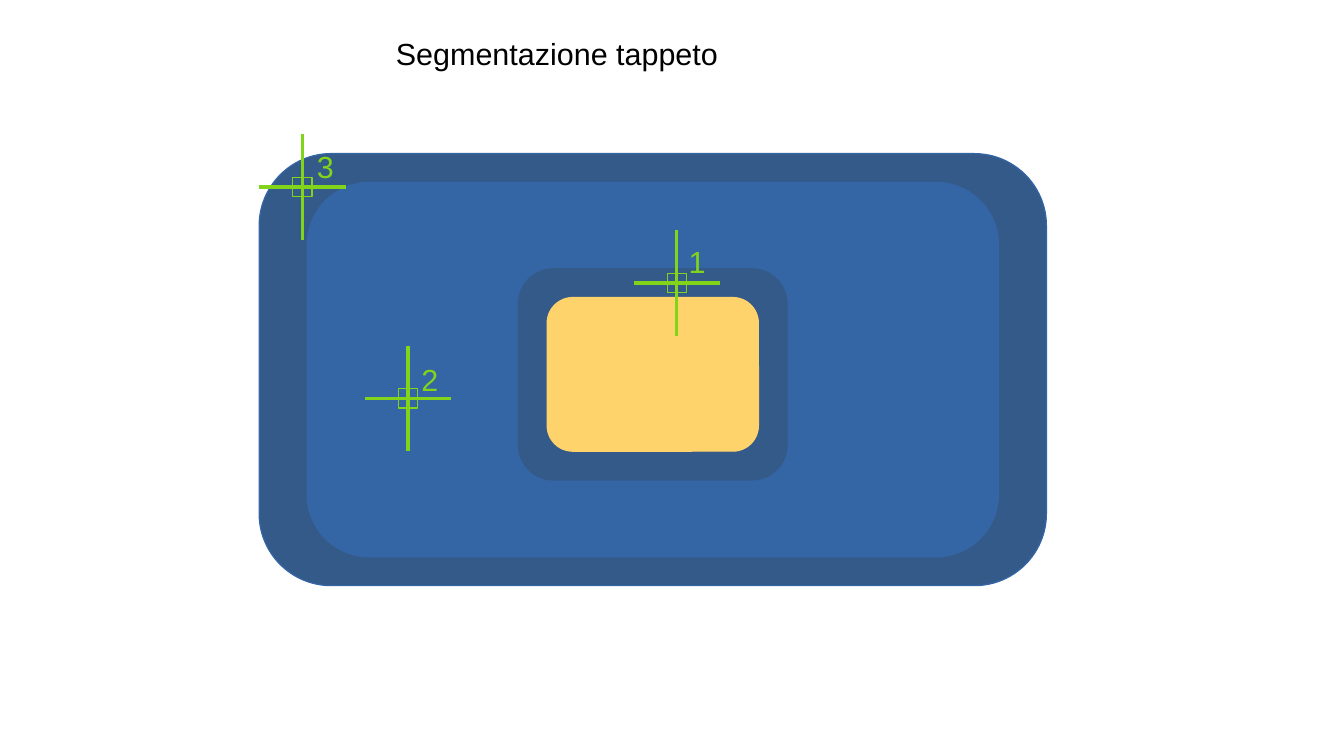
from lxml.etree import SubElement
from pptx import Presentation
from pptx.dml.color import RGBColor
from pptx.enum.shapes import MSO_CONNECTOR, MSO_SHAPE
from pptx.enum.text import MSO_AUTO_SIZE
from pptx.oxml.ns import qn
from pptx.util import Inches, Pt

WIDTH, HEIGHT = 11.02, 6.2
COLUMNS, ROWS = 28, 15.75
COLORS = {
    "border": "345A8A",
    "field": "3465A4",
    "center": "FFD36B",
    "marker": "81D41A",
    "title": "000000",
}


class CarpetSlide:
    """Draws the carpet and its markers on a grid of columns and rows."""

    def __init__(self, presentation):
        presentation.slide_width = Inches(WIDTH)
        presentation.slide_height = Inches(HEIGHT)
        self.font, self.size = "Arial", Pt(18)
        self.shapes = presentation.slides.add_slide(presentation.slide_layouts[6]).shapes

    def x(self, columns):
        return Inches(columns * WIDTH / COLUMNS)

    def y(self, rows):
        return Inches(rows * HEIGHT / ROWS)

    def color(self, name):
        return RGBColor.from_string(COLORS[name])

    def hairline(self, line, color):
        line.color.rgb = self.color(color)
        line.width = Pt(0)

    def panel(self, shapes, preset, middle, size, outline, fill=None):
        (column, row), (width, height) = middle, size
        panel = shapes.add_shape(
            preset, self.x(column - width / 2), self.y(row - height / 2),
            self.x(width), self.y(height))
        panel.shadow.inherit = False
        if fill:
            panel.fill.solid()
            panel.fill.fore_color.rgb = self.color(fill)
        else:
            panel.fill.background()
        self.hairline(panel.line, outline)

    def line(self, shapes, start, end, color):
        line = shapes.add_connector(
            MSO_CONNECTOR.STRAIGHT, self.x(start[0]), self.y(start[1]),
            self.x(end[0]), self.y(end[1]))
        self.hairline(line.line, color)
        SubElement(line._element.spPr, qn("a:effectLst"))

    def text(self, shapes, corner, size, wording, color, wrap):
        box = shapes.add_textbox(
            self.x(corner[0]), self.y(corner[1]), self.x(size[0]), self.y(size[1]))
        frame = box.text_frame
        frame.word_wrap = wrap
        frame.auto_size = MSO_AUTO_SIZE.SHAPE_TO_FIT_TEXT
        run = frame.paragraphs[0].add_run()
        run.text = wording
        run.font.name, run.font.size = self.font, self.size
        run.font.color.rgb = self.color(color)

    def carpet(self, shapes, middle, layers):
        for size, fill, outline in layers:
            self.panel(shapes, MSO_SHAPE.FLOWCHART_ALTERNATE_PROCESS,
                       middle, size, outline, fill)

    def marker(self, number, column, row, label_corner):
        shapes = self.shapes.add_group_shape().shapes
        for across, down in ((0, 1.1), (-0.9, 0)):
            self.line(shapes, (column - across, row - down),
                      (column + across, row + down), "marker")
        self.panel(shapes, MSO_SHAPE.RECTANGLE, (column, row), (0.4, 0.4), "marker")
        self.text(shapes, label_corner, (0.86, 0.96), number, "marker", False)


def main():
    presentation = Presentation()
    slide = CarpetSlide(presentation)
    slide.carpet(slide.shapes, (13.6, 7.7), [
        ((16.4, 9), "border", "field"),
        ((14.4, 7.8), "field", "field"),
    ])
    slide.carpet(slide.shapes.add_group_shape().shapes, (13.6, 7.8), [
        ((5.6, 4.4), "border", "border"),
        ((4.4, 3.2), "center", "center"),
    ])
    for number, column, row, label_corner in (
        ("2", 8.5, 8.3, (8.53, 7.4)),
        ("3", 6.3, 3.9, (6.35, 2.95)),
        ("1", 14.1, 5.9, (14.1, 4.93)),
    ):
        slide.marker(number, column, row, label_corner)
    slide.text(slide.shapes, (8, 0.6), (12.6, 0.96), "Segmentazione tappeto", "title", True)
    presentation.save("out.pptx")


if __name__ == "__main__":
    main()
